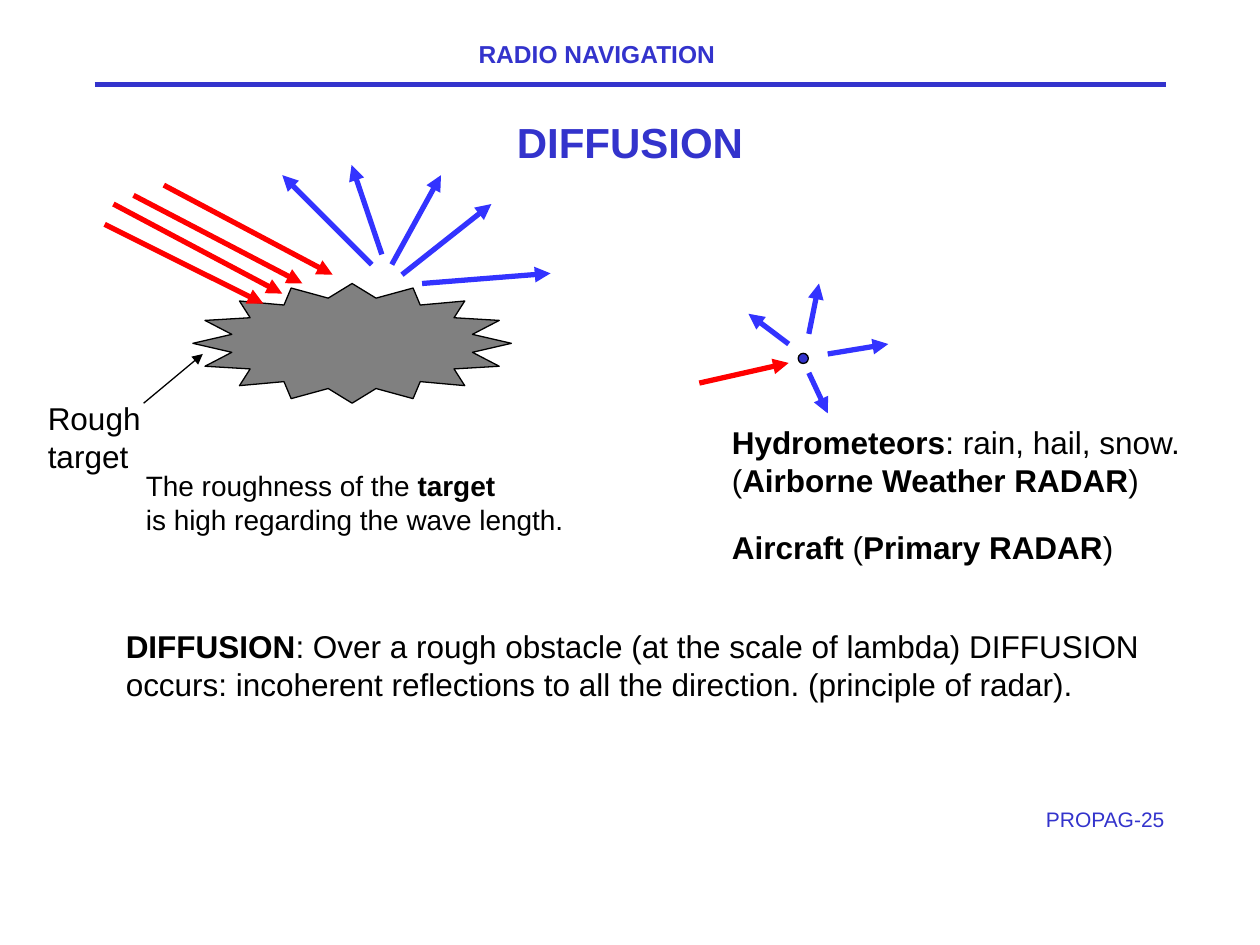
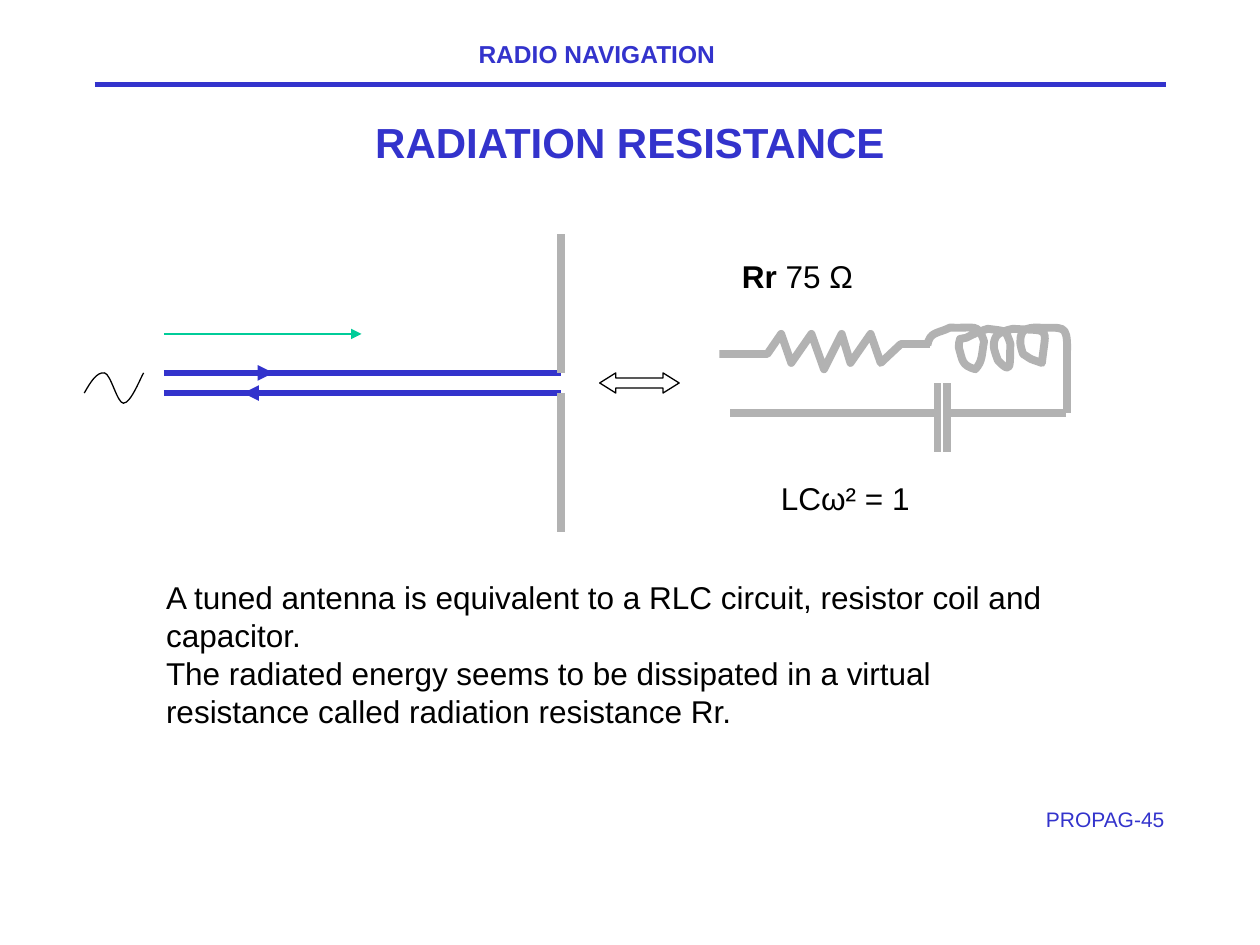
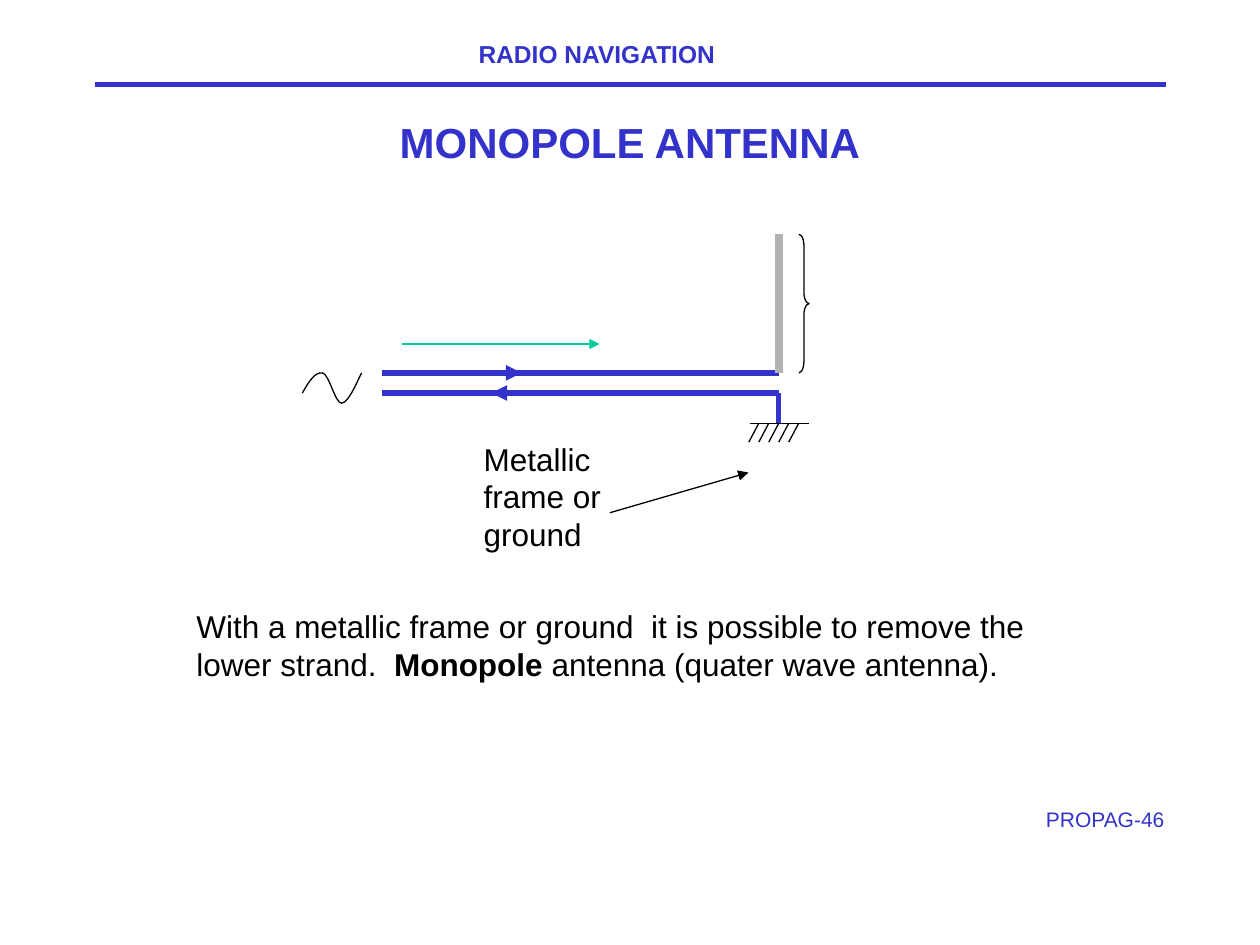
from lxml import etree
from pptx import Presentation
from pptx.dml.color import RGBColor
from pptx.enum.shapes import MSO_CONNECTOR, MSO_SHAPE
from pptx.enum.text import MSO_ANCHOR, PP_ALIGN
from pptx.oxml.ns import qn
from pptx.util import Pt

STRAIGHT = MSO_CONNECTOR.STRAIGHT
STAR, DOT = MSO_SHAPE.STAR_16_POINT, MSO_SHAPE.OVAL
DOUBLE_ARROW, BRACE = MSO_SHAPE.LEFT_RIGHT_ARROW, MSO_SHAPE.RIGHT_BRACE
LEFT, CENTER, RIGHT = PP_ALIGN.LEFT, PP_ALIGN.CENTER, PP_ALIGN.RIGHT
TOP, MIDDLE = MSO_ANCHOR.TOP, MSO_ANCHOR.MIDDLE

FONT = "Arial"
COLORS = {
    "navy": "3333CC", "ray": "3333FF", "incident": "FF0000", "wave": "00CC99",
    "metal": "B2B2B2", "rough": "808080", "black": "000000", "white": "FFFFFF",
}
COLORS = {name: RGBColor.from_string(value) for name, value in COLORS.items()}
THIN, THICK, METAL = 0.75, 3, 4.5


def draw_line(slide, start, end, color="black", width=THIN, arrow=False):
    connector = slide.shapes.add_connector(
        STRAIGHT, *[Pt(value) for value in (*start, *end)])
    connector.line.color.rgb = COLORS[color]
    connector.line.width = Pt(width)
    properties = connector.element.spPr
    if arrow:
        etree.SubElement(properties.find(qn("a:ln")), qn("a:tailEnd"), type="triangle")
    etree.SubElement(properties, qn("a:effectLst"))


def write_text(slide, box, lines, size=18, color="black", bold=False,
               align=LEFT, anchor=TOP, wrap=True):
    """Write one paragraph per line; text between ** marks is bold."""
    frame = slide.shapes.add_textbox(*[Pt(value) for value in box]).text_frame
    frame.word_wrap = wrap
    frame.vertical_anchor = anchor
    for index, line in enumerate(lines):
        paragraph = frame.add_paragraph() if index else frame.paragraphs[0]
        paragraph.alignment = align
        paragraph.font.name = FONT
        paragraph.font.size = Pt(size)
        paragraph.font.color.rgb = COLORS[color]
        paragraph.font.bold = bold
        for part, text in enumerate(line.split("**")):
            if text:
                run = paragraph.add_run()
                run.text = text
                if part % 2:
                    run.font.bold = True


presentation = Presentation()
presentation.slide_width, presentation.slide_height = Pt(720), Pt(540)

# Shared frame: header, rule, title, page label
slides = []
for title, page in (("DIFFUSION", 25), ("RADIATION RESISTANCE", 45), ("MONOPOLE ANTENNA", 46)):
    slide = presentation.slides.add_slide(presentation.slide_layouts[6])
    draw_line(slide, (54, 48.2), (666, 48.2), "navy", THICK)
    write_text(slide, (266.4, 18.7, 152, 24.5), ["RADIO NAVIGATION"], 14, "navy", True, wrap=False)
    write_text(slide, (558.7, 457.2, 113.8, 30.2), [f"PROPAG-{page}"], 12, "navy", align=RIGHT)
    write_text(slide, (54, 54, 612, 54), [title], 24, "navy", True, CENTER, MIDDLE)
    slides.append(slide)
diffusion, resistance, monopole = slides

# Preset shapes: rough target, droplet, equivalence arrow, antenna brace
for slide, kind, box, fill, adjustments in (
    (diffusion, STAR, (110.2, 162, 182, 68.4), "rough", [0.385]),
    (diffusion, DOT, (456.1, 201.9, 5.8, 5.8), "navy", []),
    (resistance, DOUBLE_ARROW, (342.7, 213.1, 45.4, 11.5), "white", [0.5, 0.8]),
    (monopole, BRACE, (456.5, 133.9, 5.8, 79.2), None, [1.13, 0.5]),
):
    shape = slide.shapes.add_shape(kind, *[Pt(value) for value in box])
    shape.shadow.inherit = False
    for index, value in enumerate(adjustments):
        shape.adjustments[index] = value
    if fill:
        shape.fill.solid()
        shape.fill.fore_color.rgb = COLORS[fill]
    else:
        shape.fill.background()
    shape.line.color.rgb = COLORS["black"]
    shape.line.width = Pt(THIN)

# Outlines: generator sine waves, resistor zigzag and coil
FEED_SHIFT = 124.6
sine = [(48.2, 224.6), (51.8, 218.2), (55.4, 212.4), (59.8, 213.1), (63.4, 213.8),
        (67, 230.4), (70.6, 230.4), (74.9, 230.4), (80.6, 215.3), (82.1, 213.1)]
shifted_sine = [(x + FEED_SHIFT, y) for x, y in sine]
resistor = [(411.1, 202.3), (438.5, 202.3), (446.4, 190.8), (452.2, 207.4),
            (463.7, 190.8), (470.9, 211), (481, 190.8), (486, 207.4),
            (497.5, 190.8), (503.3, 207.4), (514.8, 196.6), (531.4, 196.6)]
coil = [
    (529.9, 197.3),
    (531.4, 189.4), (535.7, 190.8), (542.9, 187.2),
    (557.3, 187.9), (558.7, 184.3), (562.3, 195.1),
    (560.9, 202.3), (561.6, 206.6), (557.3, 211),
    (549.4, 208.8), (550.1, 205.9), (547.9, 198.7),
    (547.9, 197.3), (547.9, 195.1), (548.6, 193.7),
    (549.4, 193), (551.5, 193.7), (552.2, 193),
    (556.6, 190.8), (559.4, 189.4), (564.5, 187.9),
    (574.6, 189.4), (574.6, 187.9), (577.4, 196.6),
    (576.7, 207.4), (578.9, 215.3), (570.2, 205.9),
    (568.8, 201.6), (566.6, 198), (568.8, 193),
    (570.2, 189.4), (578.9, 187.9), (578.9, 187.9),
    (601.2, 189.4), (597.6, 185.8), (595.4, 207.4),
    (586.8, 204.5), (590.4, 205.9), (584.6, 202.3),
    (583.2, 198), (581.8, 193.7), (584.6, 189.4),
    (586.1, 187.2), (591.8, 187.2), (591.8, 187.2),
    (607.7, 187.9), (609.8, 184.3), (609.8, 200.2),
]
for slide, points, curved, color, width in (
    (resistance, sine, True, "black", THIN),
    (monopole, shifted_sine, True, "black", THIN),
    (resistance, resistor, False, "metal", METAL),
    (resistance, coil, True, "metal", METAL),
):
    start, *others = [(Pt(x), Pt(y)) for x, y in points]
    builder = slide.shapes.build_freeform(*start)
    builder.add_line_segments(others, close=False)
    shape = builder.convert_to_shape()
    shape.shadow.inherit = False
    shape.fill.background()
    shape.line.color.rgb = COLORS[color]
    shape.line.width = Pt(width)
    if curved:  # every three points become one Bézier segment
        outline = shape.element.xpath(".//a:path")[0]
        segments = outline.findall(qn("a:lnTo"))
        for first in range(0, len(segments), 3):
            curve = etree.SubElement(outline, qn("a:cubicBezTo"))
            for segment in segments[first:first + 3]:
                curve.append(segment[0])
                outline.remove(segment)

# Two-wire feeder and upper strand, on both antenna slides
for slide, shift in ((resistance, 0), (monopole, FEED_SHIFT)):
    for y in (213.1, 224.6):
        draw_line(slide, (93.6 + shift, y), (320.4 + shift, y), "navy", THICK)
    draw_line(slide, (320.4 + shift, 213.1), (320.4 + shift, 133.9), "metal", METAL)

# Diffusion: incident and scattered rays
for start, end in (
    ((59.8, 128.2), (150.5, 173.5)), ((76.3, 111.6), (172.8, 162)),
    ((64.8, 116.6), (161.3, 167.8)), ((93.6, 105.8), (190.1, 157)),
    ((399.6, 218.9), (450.7, 207.4)),
):
    draw_line(diffusion, start, end, "incident", THICK, True)
for start, end in (
    ((229.7, 157), (280.8, 116.6)), ((212.4, 151.2), (161.3, 100.1)),
    ((223.9, 151.2), (252, 100.1)), ((218.2, 145.4), (200.9, 94.3)),
    ((241.2, 162), (314.6, 156.2)), ((450.7, 196.6), (427.7, 179.3)),
    ((462.2, 190.8), (468, 162)), ((473, 202.3), (507.6, 196.6)),
    ((462.2, 213.1), (473, 236.2)),
):
    draw_line(diffusion, start, end, "ray", THICK, True)
draw_line(diffusion, (82.1, 230.4), (115.9, 202.3), arrow=True)

# Diffusion: texts
write_text(diffusion, (20.2, 224.6, 118, 29), ["Rough target"], wrap=False)
write_text(diffusion, (76.3, 264.2, 255, 46),
           ["The roughness of the **target**", "is high regarding the wave length."], 16)
write_text(diffusion, (411.1, 238.3, 271.4, 50.4),
           ["**Hydrometeors**: rain, hail, snow.", "(**Airborne Weather RADAR**)"], wrap=False)
write_text(diffusion, (411.1, 298.1, 232.6, 29), ["**Aircraft **(**Primary RADAR**)"], wrap=False)
write_text(diffusion, (64.8, 355, 602.6, 50.4),
           ["**DIFFUSION**: Over a rough obstacle (at the scale of lambda) DIFFUSION occurs: "
            "incoherent reflections to all the direction. (principle of radar)."])

# Radiation resistance: lower strand, wave and current directions
draw_line(resistance, (320.4, 303.8), (320.4, 224.6), "metal", METAL)
draw_line(resistance, (93.6, 190.8), (206.6, 190.8), "wave", THIN, True)
draw_line(resistance, (133.2, 213.1), (156.2, 213.1), "navy", THICK, True)
draw_line(resistance, (167, 224.6), (139, 224.6), "navy", THICK, True)

# Radiation resistance: return wire and capacitor plates
for start, end in (
    ((609.8, 196.6), (609.8, 236.2)), ((609.1, 236.2), (541.4, 236.2)),
    ((541.4, 218.9), (541.4, 258.5)), ((535.7, 218.9), (535.7, 258.5)),
    ((535.7, 236.2), (416.9, 236.2)),
):
    draw_line(resistance, start, end, "metal", METAL)

# Radiation resistance: texts
write_text(resistance, (416.9, 143.3, 77.8, 29), ["**Rr** 75 Ω"], wrap=False)
write_text(resistance, (439.2, 270, 124.6, 29), ["LCω² = 1"])
write_text(resistance, (87.8, 326.9, 522, 93.6),
           ["A tuned antenna is equivalent to a RLC circuit, resistor coil and capacitor.",
            "The radiated energy seems to be dissipated in a virtual resistance called "
            "radiation resistance Rr."])

# Monopole: wave and current directions
draw_line(monopole, (229.7, 196.6), (342.7, 196.6), "wave", THIN, True)
draw_line(monopole, (286.6, 213.1), (298.1, 213.1), "navy", THICK, True)
draw_line(monopole, (292.3, 224.6), (280.8, 224.6), "navy", THICK, True)

# Monopole: ground symbol
draw_line(monopole, (445, 224.6), (445, 241.9), "navy", THICK)
draw_line(monopole, (428.4, 241.9), (462.2, 241.9))
for step in range(5):
    x = 433.6 + 5.7 * step
    draw_line(monopole, (x, 241.9), (x - 5.7, 252.7))

# Monopole: texts
draw_line(monopole, (348.5, 293), (427.7, 270), arrow=True)
write_text(monopole, (269.3, 247.7, 108, 72), ["Metallic frame or ground"])
write_text(monopole, (105.1, 343.4, 527, 50.4),
           ["With a metallic frame or ground  it is possible to remove the lower strand.  "
            "**Monopole **antenna (quater wave antenna)."])

presentation.save("out.pptx")
